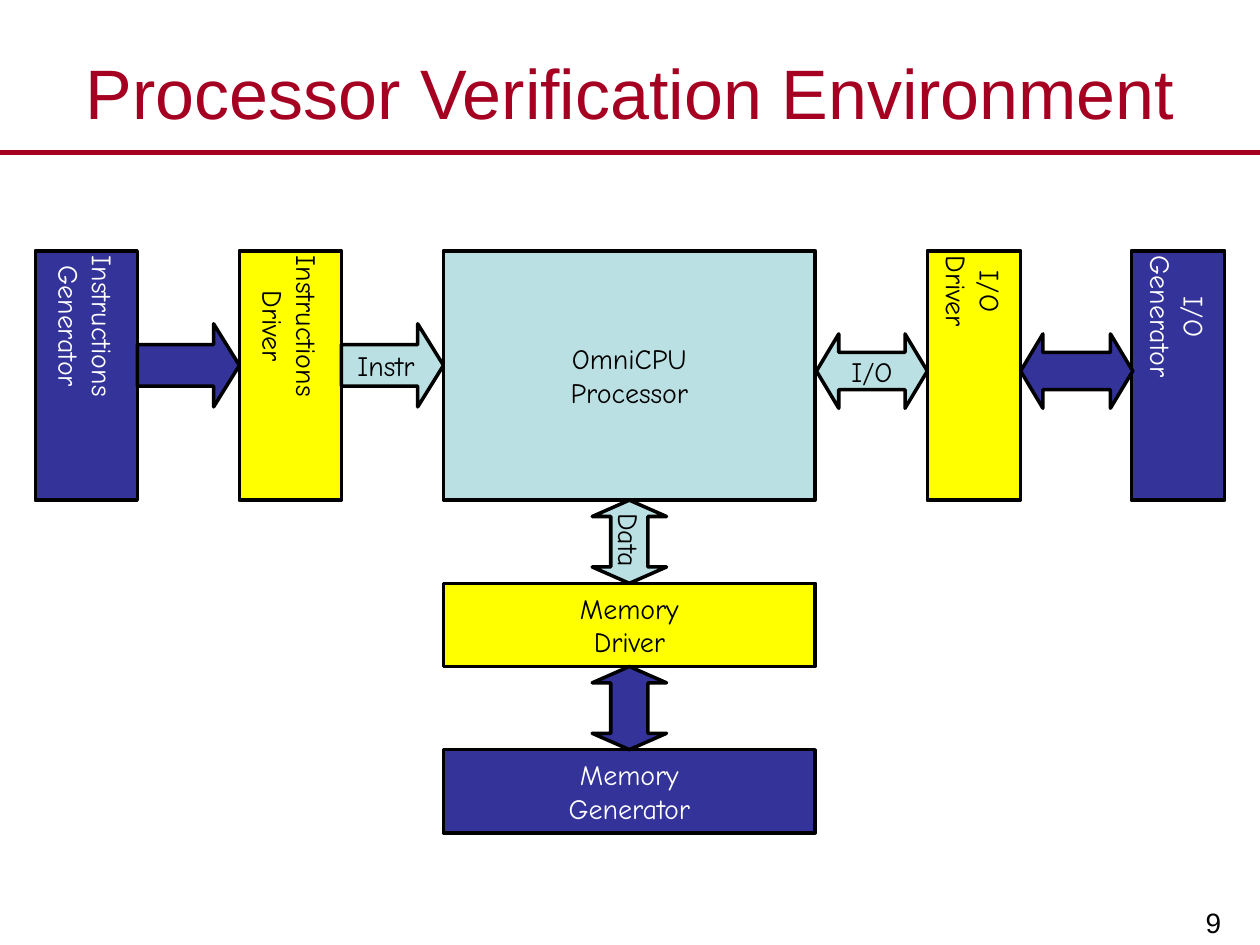
from dataclasses import dataclass

from lxml import etree
from pptx import Presentation
from pptx.dml.color import RGBColor
from pptx.enum.shapes import MSO_CONNECTOR, MSO_SHAPE
from pptx.enum.text import MSO_ANCHOR, PP_ALIGN
from pptx.oxml.ns import qn
from pptx.util import Inches, Pt

RECT = MSO_SHAPE.RECTANGLE
RIGHT = MSO_SHAPE.RIGHT_ARROW
LEFT_RIGHT = MSO_SHAPE.LEFT_RIGHT_ARROW
UP_DOWN = MSO_SHAPE.UP_DOWN_ARROW
STRAIGHT = MSO_CONNECTOR.STRAIGHT
MIDDLE, BOTTOM = MSO_ANCHOR.MIDDLE, MSO_ANCHOR.BOTTOM
CENTER, ALIGN_RIGHT = PP_ALIGN.CENTER, PP_ALIGN.RIGHT

RED, BLACK, WHITE = "A50021", "000000", "FFFFFF"
TEAL, YELLOW, BLUE = "BBE0E3", "FFFF00", "333399"
LABEL_FONT, TITLE_FONT = "Comic Neue", "Arial"

ROW_Y, ROW_H = 1.99, 1.98
CORE_X, CORE_W = 3.52, 2.95
INSTR_W, IO_W = 0.81, 0.74
MEM_H = 0.66
INSTR_Y, IO_Y, ARROW_W = 2.57, 2.65, 0.59
DATA_X = 4.7


@dataclass
class Block:
    """A filled box or arrow of the diagram."""
    kind: int
    x: float
    y: float
    w: float
    h: float
    fill: str
    text: str = ""
    vertical: bool = False
    head: float = 0


def rgb(value: str) -> RGBColor:
    """Turn a hex string into a colour."""
    return RGBColor.from_string(value)


def write(tf, text: str, font: str, size: int, color: str, align=CENTER, anchor=MIDDLE) -> None:
    """Fill a text frame with uniformly formatted paragraphs."""
    tf.text = text
    tf.vertical_anchor = anchor
    for p in tf.paragraphs:
        p.alignment = align
        for r in p.runs:
            r.font.name = font
            r.font.size = Pt(size)
            r.font.color.rgb = rgb(color)


def add_text(slide, x: float, y: float, w: float, h: float, text: str, size: int, color: str,
             align=CENTER, anchor=MIDDLE) -> None:
    """Add a wrapping text box."""
    tf = slide.shapes.add_textbox(Inches(x), Inches(y), Inches(w), Inches(h)).text_frame
    tf.word_wrap = True
    write(tf, text, TITLE_FONT, size, color, align, anchor)


def add_rule(slide, y: float) -> None:
    """Draw the full-width line under the title."""
    line = slide.shapes.add_connector(STRAIGHT, 0, Inches(y), Inches(10), Inches(y))
    line.line.color.rgb = rgb(RED)
    line.line.width = Pt(3)
    etree.SubElement(line._element.spPr, qn("a:effectLst"))


def set_arrow(s, shaft: float, head: float) -> None:
    """Set the shaft width and head length of an arrow by guide name."""
    guides = s._element.spPr.find(qn("a:prstGeom")).find(qn("a:avLst"))
    for guide in list(guides):
        guides.remove(guide)
    for name, value in (("adj1", shaft), ("adj2", head)):
        etree.SubElement(guides, qn("a:gd"), name=name, fmla=f"val {round(value * 100000)}")


def add_block(slide, b: Block) -> None:
    """Draw one block with its label."""
    s = slide.shapes.add_shape(b.kind, Inches(b.x), Inches(b.y), Inches(b.w), Inches(b.h))
    s.shadow.inherit = False
    s.fill.solid()
    s.fill.fore_color.rgb = rgb(b.fill)
    s.line.color.rgb = rgb(BLACK)
    s.line.width = Pt(2)
    if b.head:
        set_arrow(s, 0.5, b.head)
    if not b.text:
        return
    tf = s.text_frame
    tf.word_wrap = False
    tf.margin_left = tf.margin_right = Inches(0.09)
    tf.margin_top = tf.margin_bottom = Inches(0.04)
    write(tf, b.text, LABEL_FONT, 16, WHITE if b.fill == BLUE else BLACK)
    if b.vertical:
        tf._txBody.bodyPr.set("vert", "eaVert")


BLOCKS = [
    Block(RECT, CORE_X, ROW_Y, CORE_W, ROW_H, TEAL, "OmniCPU\nProcessor"),
    Block(RECT, 1.9, ROW_Y, INSTR_W, ROW_H, YELLOW, "Instructions\nDriver", True),
    Block(RECT, 7.36, ROW_Y, IO_W, ROW_H, YELLOW, "I/O\nDriver", True),
    Block(RECT, CORE_X, 4.63, CORE_W, MEM_H, YELLOW, "Memory\nDriver"),
    Block(RIGHT, 2.71, INSTR_Y, INSTR_W, MEM_H, TEAL, "Instr", head=0.31),
    Block(LEFT_RIGHT, 6.48, IO_Y, 0.88, ARROW_W, TEAL, "I/O", head=0.3),
    Block(UP_DOWN, DATA_X, 3.97, ARROW_W, MEM_H, TEAL, "Data", True, 0.22),
    Block(RECT, 0.28, ROW_Y, INSTR_W, ROW_H, BLUE, "Instructions\nGenerator", True),
    Block(RIGHT, 1.09, INSTR_Y, INSTR_W, MEM_H, BLUE, head=0.31),
    Block(RECT, 8.98, ROW_Y, IO_W, ROW_H, BLUE, "I/O\nGenerator", True),
    Block(LEFT_RIGHT, 8.1, IO_Y, 0.89, ARROW_W, BLUE, head=0.3),
    Block(RECT, CORE_X, 5.95, CORE_W, MEM_H, BLUE, "Memory\nGenerator"),
    Block(UP_DOWN, DATA_X, 5.29, ARROW_W, MEM_H, BLUE, head=0.22),
]


def main() -> None:
    """Build and save the slide."""
    prs = Presentation()
    prs.slide_width, prs.slide_height = Inches(10), Inches(7.5)
    slide = prs.slides.add_slide(prs.slide_layouts[6])
    add_rule(slide, 1.21)
    add_text(slide, 7.8, 6.93, 1.99, 0.57, "9", 16, BLACK, ALIGN_RIGHT, BOTTOM)
    add_text(slide, 0, 0.3, 10, 0.86, "Processor Verification Environment", 40, RED)
    for block in BLOCKS:
        add_block(slide, block)
    prs.save("out.pptx")


main()
